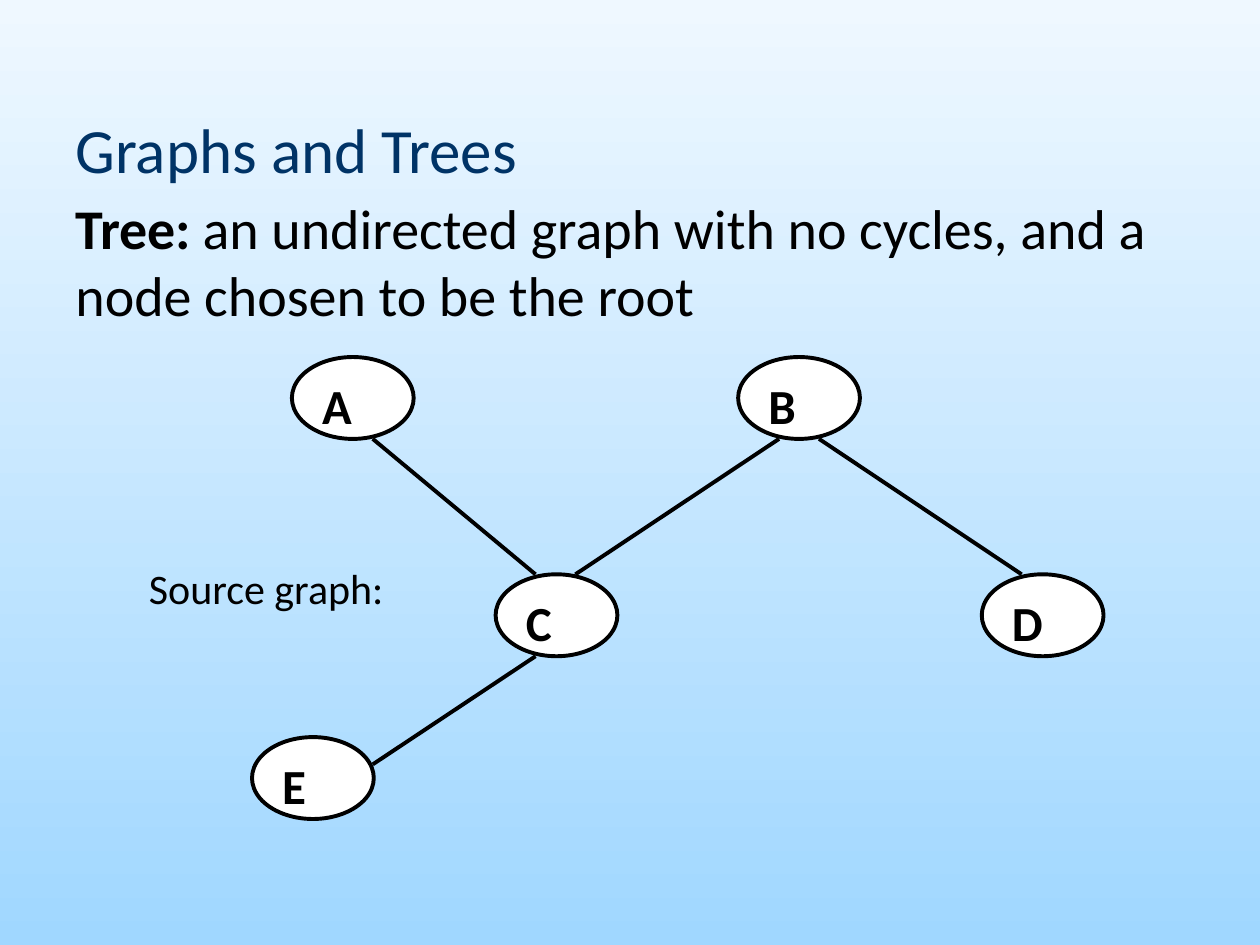
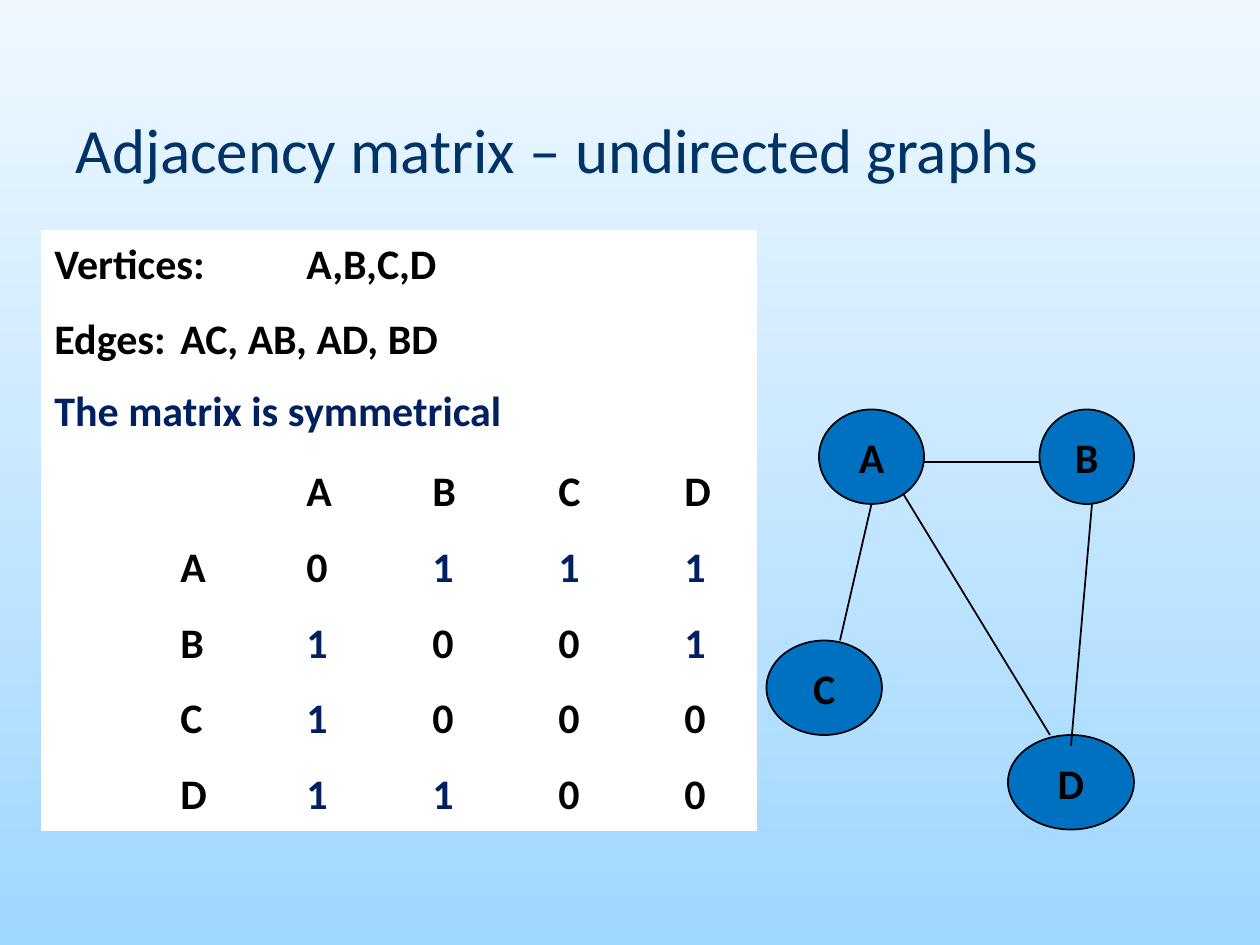
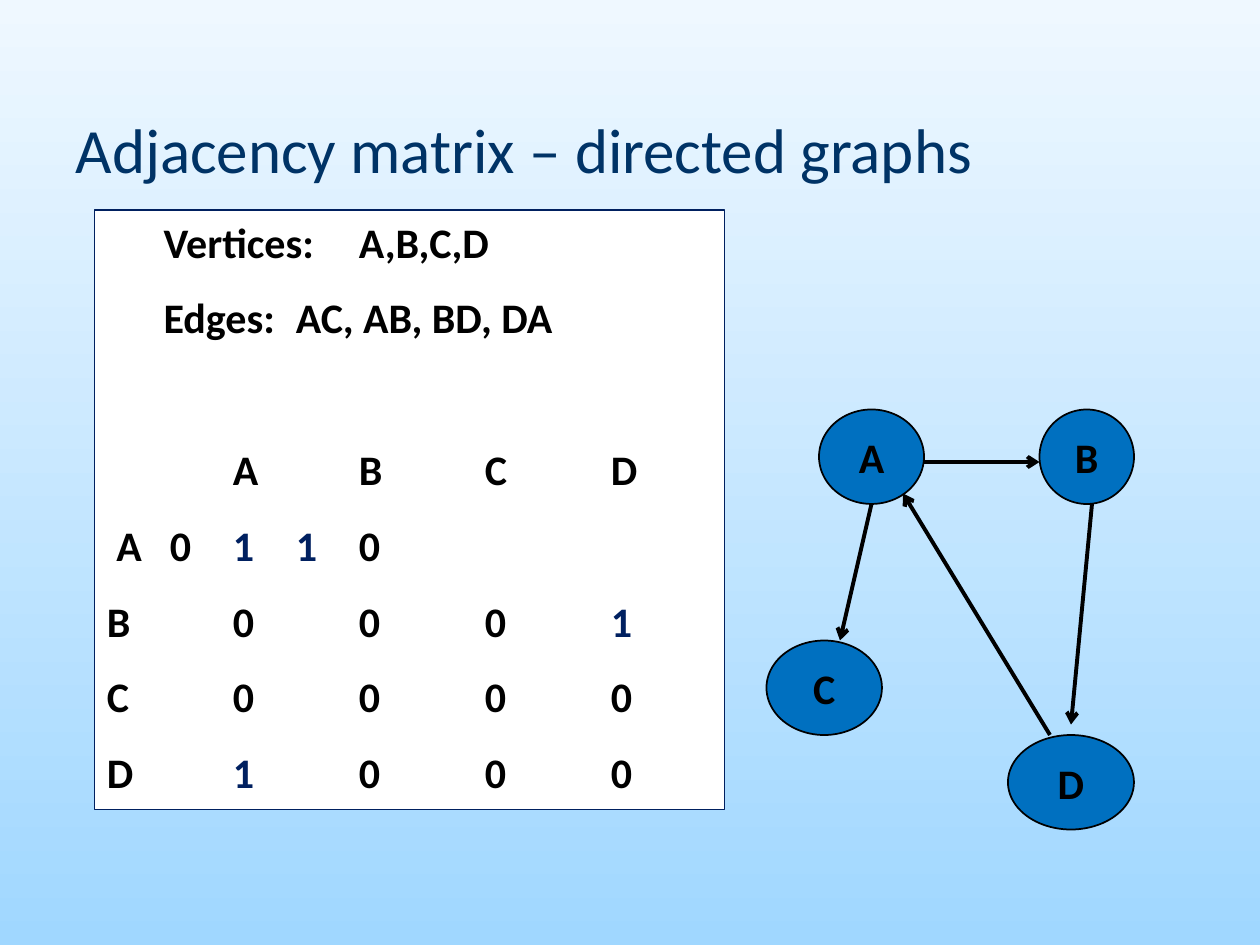
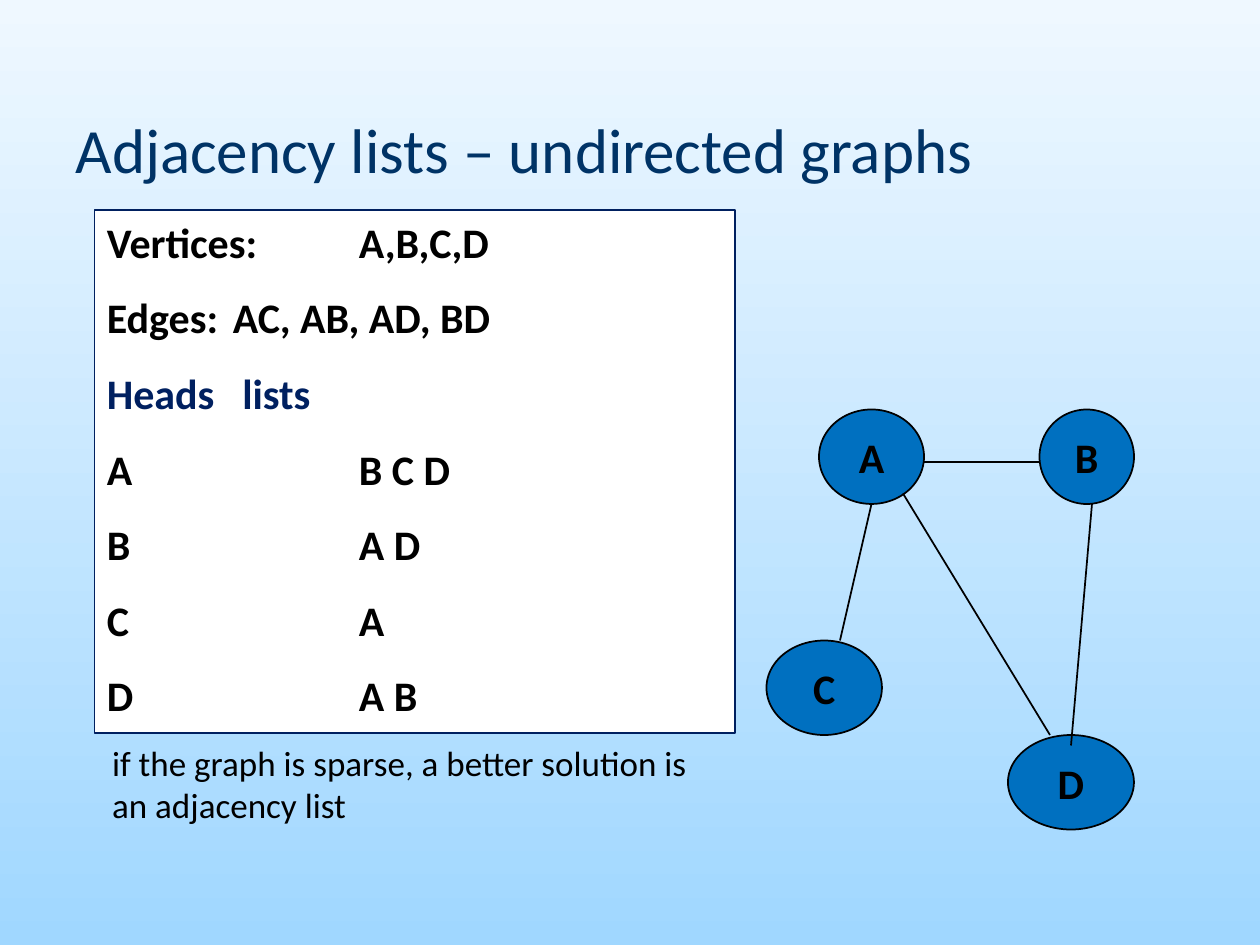
"""Build four slides on graphs, trees and adjacency structures."""
from dataclasses import dataclass
from typing import Any

import lxml.etree
import pptx
import pptx.dml.color
import pptx.enum.shapes
import pptx.enum.text
import pptx.oxml.ns
import pptx.util

SCALE = 7620
FONT = "Calibri"
BLACK, WHITE, NAVY, BLUE, TITLE_BLUE = "000000", "FFFFFF", "002060", "0070C0", "003366"
BACKGROUND = ("EFF8FF", "A0D7FF")
ALIGN = pptx.enum.text.PP_ALIGN
ANCHOR = pptx.enum.text.MSO_ANCHOR
SHAPE = pptx.enum.shapes.MSO_SHAPE
PARA_GAP, SECTION_GAP = 14.4, 58.1
TOP_LEFT = {"word_wrap": True, "vertical_anchor": ANCHOR.TOP}
CENTERED = {"word_wrap": False, "vertical_anchor": ANCHOR.MIDDLE}


@dataclass(frozen=True)
class Box:
    x: int
    y: int
    w: int
    h: int


@dataclass(frozen=True)
class Node:
    label: str
    box: Box


@dataclass(frozen=True)
class Edge:
    x1: int
    y1: int
    x2: int
    y2: int


@dataclass(frozen=True)
class Para:
    text: str
    gap: float = PARA_GAP
    indent: int = 0


@dataclass(frozen=True)
class NodeStyle:
    fill: str
    line_width: float
    size: int
    frame: dict[str, Any]
    align: Any


TREE_STYLE = NodeStyle(WHITE, 2.25, 28, TOP_LEFT, ALIGN.LEFT)
GRAPH_STYLE = NodeStyle(BLUE, 1, 24, CENTERED, ALIGN.CENTER)

TREE_NODES = [Node(label, Box(x, y, 116, 78)) for label, x, y in (
    ("A", 278, 340), ("B", 703, 340), ("C", 472, 547), ("E", 240, 702), ("D", 935, 547))]
TREE_EDGES = [Edge(355, 418, 510, 547), Edge(742, 418, 548, 547),
              Edge(510, 625, 355, 728), Edge(780, 418, 973, 547)]

GRAPH_NODES = [Node("A", Box(780, 390, 100, 90)), Node("B", Box(990, 390, 90, 90)),
               Node("C", Box(730, 610, 110, 90)), Node("D", Box(960, 700, 120, 90))]
SHARED_EDGES = [Edge(880, 440, 990, 440), Edge(830, 480, 800, 610)]
UNDIRECTED = SHARED_EDGES + [Edge(860, 470, 1000, 700), Edge(1040, 480, 1020, 710)]
DIRECTED = SHARED_EDGES + [Edge(1000, 700, 860, 470), Edge(1040, 480, 1020, 690)]


def px(n: int) -> pptx.util.Emu:
    return pptx.util.Emu(n * SCALE)


def place(box: Box) -> tuple[pptx.util.Emu, ...]:
    return px(box.x), px(box.y), px(box.w), px(box.h)


def rgb(value: str) -> pptx.dml.color.RGBColor:
    return pptx.dml.color.RGBColor.from_string(value)


def put(target: Any, values: dict[str, Any]) -> None:
    for name, value in values.items():
        setattr(target, name, value)


def add_run(p: Any, text: str, size: int, color: str = BLACK, bold: bool = False) -> None:
    r = p.add_run()
    r.text = text
    put(r.font, {"name": FONT, "size": pptx.util.Pt(size), "bold": bold})
    r.font.color.rgb = rgb(color)


def add_tabs(p: Any) -> None:
    tabs = lxml.etree.SubElement(p._p.get_or_add_pPr(), pptx.oxml.ns.qn("a:tabLst"))
    for inch in range(1, 8):
        tab = lxml.etree.SubElement(tabs, pptx.oxml.ns.qn("a:tab"))
        tab.set("pos", str(pptx.util.Inches(inch)))
        tab.set("algn", "l")


def paint(sp: Any, fill: str, line: str, width: float) -> None:
    sp.shadow.inherit = False
    sp.fill.solid()
    sp.fill.fore_color.rgb = rgb(fill)
    sp.line.color.rgb = rgb(line)
    sp.line.width = pptx.util.Pt(width)


def add_text(s: Any, box: Box, text: str, size: int, color: str = BLACK, bold: bool = False) -> Any:
    tf = s.shapes.add_textbox(*place(box)).text_frame
    put(tf, TOP_LEFT)
    p = tf.paragraphs[0]
    add_run(p, text, size, color, bold)
    return p


def add_panel(s: Any, box: Box, paras: list[Para], line: str = NAVY) -> None:
    sp = s.shapes.add_shape(SHAPE.RECTANGLE, *place(box))
    paint(sp, WHITE, line, 1)
    tf = sp.text_frame
    put(tf, TOP_LEFT)
    for i, para in enumerate(paras):
        p = tf.add_paragraph() if i else tf.paragraphs[0]
        add_tabs(p)
        p.alignment = ALIGN.LEFT
        if i:
            p.space_before = pptx.util.Pt(para.gap)
        if para.indent:
            put_indent = p._p.get_or_add_pPr().set
            put_indent("marL", "0")
            put_indent("indent", str(px(para.indent)))
        for j, part in enumerate(para.text.split("*")):
            if part:
                add_run(p, part, 24, NAVY if j % 2 else BLACK, True)


def add_edge(shapes: Any, edge: Edge, width: float, arrow: bool) -> None:
    ends = (px(n) for n in (edge.x1, edge.y1, edge.x2, edge.y2))
    sp = shapes.add_connector(pptx.enum.shapes.MSO_CONNECTOR.STRAIGHT, *ends)
    sp.line.color.rgb = rgb(BLACK)
    sp.line.width = pptx.util.Pt(width)
    if arrow:
        ln = sp.line._get_or_add_ln()
        lxml.etree.SubElement(ln, pptx.oxml.ns.qn("a:tailEnd")).set("type", "arrow")
    lxml.etree.SubElement(sp._element.spPr, pptx.oxml.ns.qn("a:effectLst"))


def add_graph(shapes: Any, nodes: list[Node], edges: list[Edge], style: NodeStyle,
              edge_width: float, arrow: bool = False) -> None:
    for node in nodes:
        sp = shapes.add_shape(SHAPE.OVAL, *place(node.box))
        paint(sp, style.fill, BLACK, style.line_width)
        put(sp.text_frame, style.frame)
        p = sp.text_frame.paragraphs[0]
        p.alignment = style.align
        add_run(p, node.label, style.size, bold=True)
    for edge in edges:
        add_edge(shapes, edge, edge_width, arrow)


def matrix(rows: dict[str, str], lead: str = "", first_indent: int = 0) -> list[Para]:
    header = Para(lead + "".join(f"\t{label}" for label in rows), SECTION_GAP)
    body = []
    for i, (label, cells) in enumerate(rows.items()):
        values = "".join("\t*1*" if cell == "1" else f"\t{cell}" for cell in cells)
        body.append(Para(lead + label + values, indent=0 if i else first_indent))
    return [header] + body


def add_slide(prs: Any, title: str) -> Any:
    s = prs.slides.add_slide(prs.slide_layouts[5])
    sp = s.shapes.title
    put(sp, dict(zip(("left", "top", "width", "height"), place(Box(60, 96, 1080, 90)))))
    put(sp.text_frame, {"word_wrap": True, "vertical_anchor": ANCHOR.MIDDLE,
                        "auto_size": pptx.enum.text.MSO_AUTO_SIZE.NONE})
    p = sp.text_frame.paragraphs[0]
    p.alignment = ALIGN.LEFT
    add_run(p, title, 36, TITLE_BLUE)
    return s


def set_background(prs: Any) -> None:
    fill = prs.slide_master.background.fill
    fill.gradient()
    fill.gradient_angle = 270
    for stop, color in zip(fill.gradient_stops, BACKGROUND):
        stop.color.rgb = rgb(color)


def tree_slide(prs: Any) -> None:
    s = add_slide(prs, "Graphs and Trees")
    p = add_text(s, Box(60, 178, 1080, 140), "Tree:", 32, bold=True)
    add_run(p, " ", 28)
    add_run(p, "an undirected graph with no cycles, and a node chosen to be the root", 32)
    add_graph(s.shapes.add_group_shape().shapes, TREE_NODES, TREE_EDGES, TREE_STYLE, 2.25)
    add_text(s, Box(130, 530, 310, 60), "Source graph:", 24)


def undirected_matrix_slide(prs: Any) -> None:
    s = add_slide(prs, "Adjacency matrix – undirected graphs")
    rows = {"A": "0111", "B": "1001", "C": "1000", "D": "1100"}
    paras = [Para("Vertices:\tA,B,C,D"), Para("Edges:\tAC, AB, AD, BD")]
    add_panel(s, Box(40, 220, 680, 571), paras + matrix(rows, "\t"), WHITE)
    add_text(s, Box(40, 360, 600, 60), "The matrix is symmetrical", 24, NAVY, True)
    add_graph(s.shapes, GRAPH_NODES, UNDIRECTED, GRAPH_STYLE, 1)


def directed_matrix_slide(prs: Any) -> None:
    s = add_slide(prs, "Adjacency matrix – directed graphs")
    rows = {"A": "0110", "B": "0001", "C": "0000", "D": "1000"}
    paras = [Para("Vertices:\tA,B,C,D", indent=54), Para("Edges:\tAC, AB, BD, DA", indent=54)]
    add_panel(s, Box(90, 200, 600, 571), paras + matrix(rows, first_indent=9))
    add_graph(s.shapes, GRAPH_NODES, DIRECTED, GRAPH_STYLE, 2.25, True)


def adjacency_list_slide(prs: Any) -> None:
    s = add_slide(prs, "Adjacency lists – undirected graphs")
    lists = {"A": "B C D", "B": "A D", "C": "A", "D": "A B"}
    paras = [Para("Vertices:\tA,B,C,D"), Para("Edges:\tAC, AB, AD, BD"), Para("*Heads\t lists*")]
    paras += [Para(f"{head}\t\t{items}") for head, items in lists.items()]
    add_panel(s, Box(90, 200, 610, 498), paras)
    add_graph(s.shapes, GRAPH_NODES, UNDIRECTED, GRAPH_STYLE, 1)
    add_text(s, Box(95, 700, 600, 92),
             "if the graph is sparse, a better solution is an adjacency list", 20)


def main() -> None:
    prs = pptx.Presentation()
    put(prs, {"slide_width": px(1200), "slide_height": px(900)})
    set_background(prs)
    for build in (tree_slide, undirected_matrix_slide, directed_matrix_slide, adjacency_list_slide):
        build(prs)
    prs.save("out.pptx")


if __name__ == "__main__":
    main()
